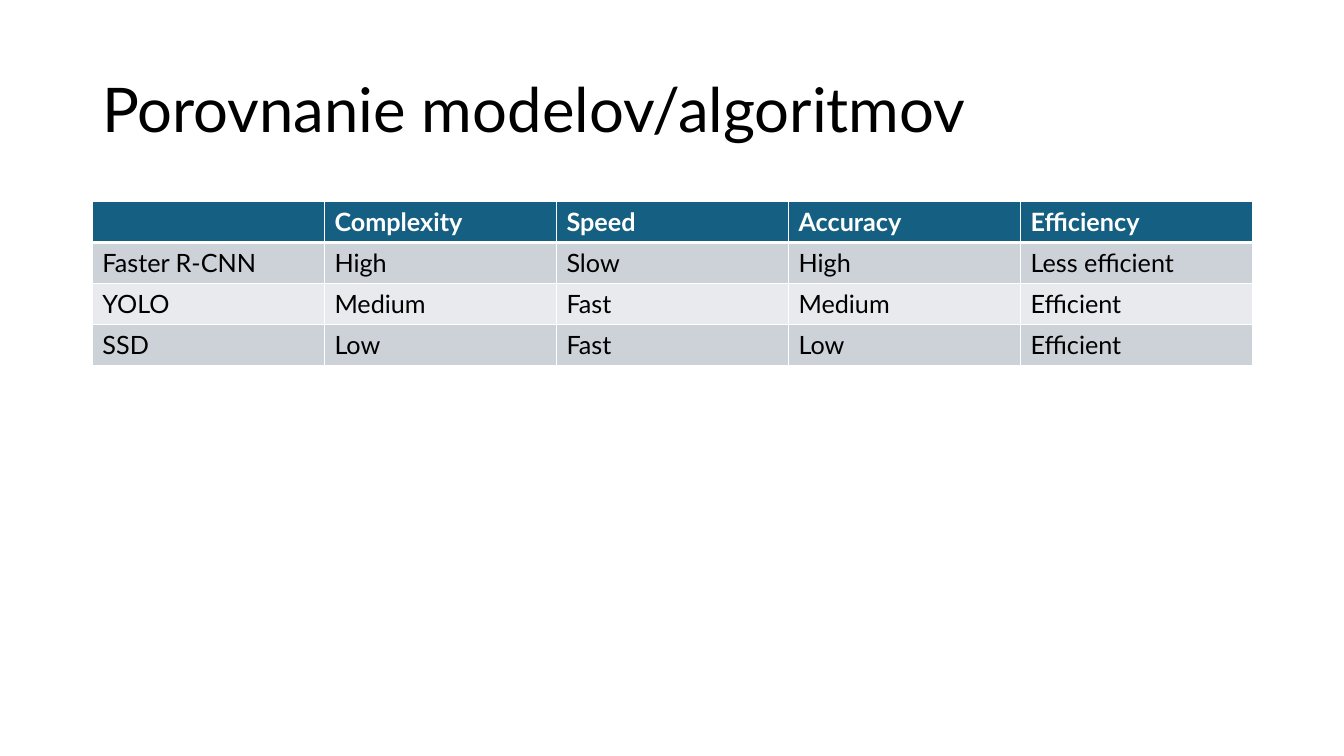
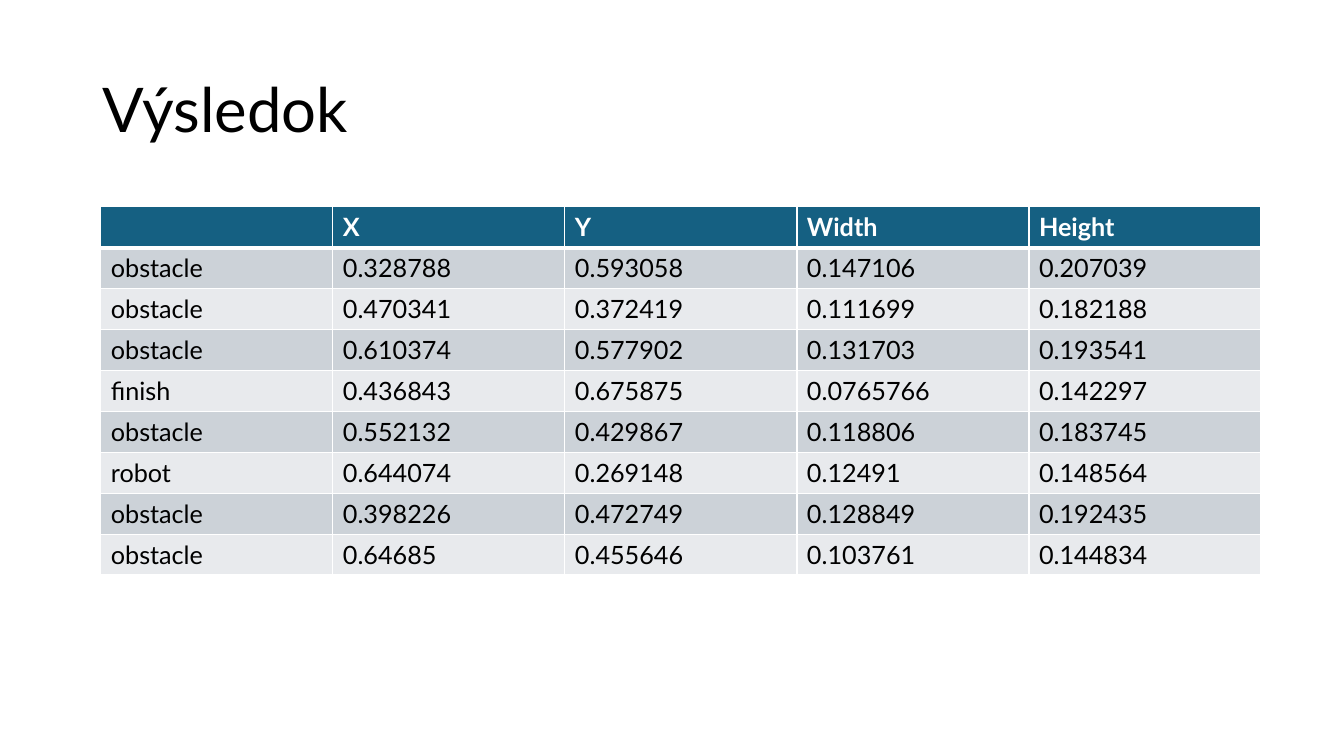
from lxml import etree
from pptx import Presentation, util as u
from pptx.dml import color
from pptx.enum import text
from pptx.oxml import ns

PX = 9525
SLIDE = (1280, 720)
FONT = "Lato"
INK, WHITE = "000000", "FFFFFF"
HEADER_FILL, BAND_FILLS = "156082", ("CCD2D8", "E8EAED")
TITLE_BOX = (88, 38, 1104, 139)
COLUMN_WIDTH, ROW_HEIGHT = 221, 39
THIN, THICK = 1, 3

MODELS = [
    ["", "Complexity", "Speed", "Accuracy", "Efficiency"],
    ["Faster R-CNN", "High", "Slow", "High", "Less efficient"],
    ["YOLO", "Medium", "Fast", "Medium", "Efficient"],
    ["SSD", "Low", "Fast", "Low", "Efficient"],
]
DETECTIONS = [
    ["", "X", "Y", "Width", "Height"],
    ["obstacle", "0.328788", "0.593058", "0.147106", "0.207039"],
    ["obstacle", "0.470341", "0.372419", "0.111699", "0.182188"],
    ["obstacle", "0.610374", "0.577902", "0.131703", "0.193541"],
    ["finish", "0.436843", "0.675875", "0.0765766", "0.142297"],
    ["obstacle", "0.552132", "0.429867", "0.118806", "0.183745"],
    ["robot", "0.644074", "0.269148", "0.12491", "0.148564"],
    ["obstacle", "0.398226", "0.472749", "0.128849", "0.192435"],
    ["obstacle", "0.64685", "0.455646", "0.103761", "0.144834"],
]


def px(*lengths):
    return [u.Emu(length * PX) for length in lengths]


def rgb(value):
    return color.RGBColor.from_string(value)


def write(para, words, size, ink, bold=False):
    span = para.add_run()
    span.text = words
    for name, value in {"name": FONT, "size": u.Pt(size), "bold": bold}.items():
        setattr(span.font, name, value)
    span.font.color.rgb = rgb(ink)


def add_title(page, words, box):
    frame = page.shapes.add_textbox(*px(*box)).text_frame
    frame.word_wrap = True
    frame.vertical_anchor = text.MSO_ANCHOR.MIDDLE
    para = frame.paragraphs[0]
    para.line_spacing = 0.9
    write(para, words, 44, INK)


def set_borders(cell, top, bottom):
    """Draw white cell edges; must run before the cell gets its fill."""
    properties = cell._tc.get_or_add_tcPr()
    for side, points in {"L": THIN, "R": THIN, "T": top, "B": bottom}.items():
        line = etree.SubElement(properties, ns.qn(f"a:ln{side}"), w=str(u.Pt(points)))
        fill = etree.SubElement(line, ns.qn("a:solidFill"))
        etree.SubElement(fill, ns.qn("a:srgbClr"), val=WHITE)


def add_banded_table(page, rows, left, top):
    columns = len(rows[0])
    table = page.shapes.add_table(
        len(rows), columns,
        *px(left, top, columns * COLUMN_WIDTH, len(rows) * ROW_HEIGHT)).table
    for column in table.columns:
        column.width = px(COLUMN_WIDTH)[0]
    for index, row in enumerate(rows):
        header = index == 0
        table.rows[index].height = px(ROW_HEIGHT)[0]
        for cell, words in zip(table.rows[index].cells, row):
            set_borders(cell, THICK if index == 1 else THIN, THICK if header else THIN)
            cell.fill.solid()
            cell.fill.fore_color.rgb = rgb(HEADER_FILL if header else BAND_FILLS[(index - 1) % 2])
            if words:
                write(cell.text_frame.paragraphs[0], words, 18, WHITE if header else INK, header)


def add_table_slide(deck, title, rows, left, top):
    page = deck.slides.add_slide(deck.slide_layouts[6])
    add_title(page, title, TITLE_BOX)
    add_banded_table(page, rows, left, top)


def main():
    deck = Presentation()
    deck.slide_width, deck.slide_height = px(*SLIDE)
    add_table_slide(deck, "Porovnanie modelov/algoritmov", MODELS, 88, 192)
    add_table_slide(deck, "Výsledok", DETECTIONS, 96, 197)
    deck.save("out.pptx")


if __name__ == "__main__":
    main()
